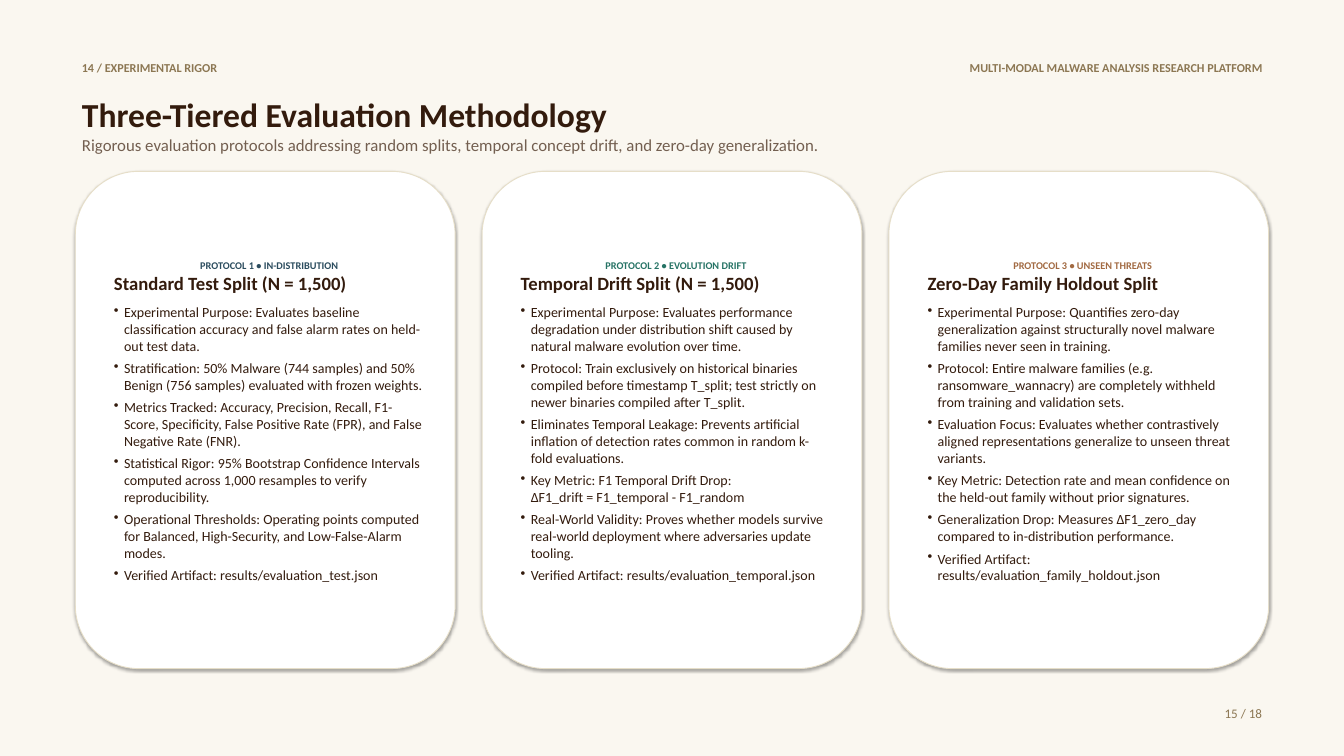
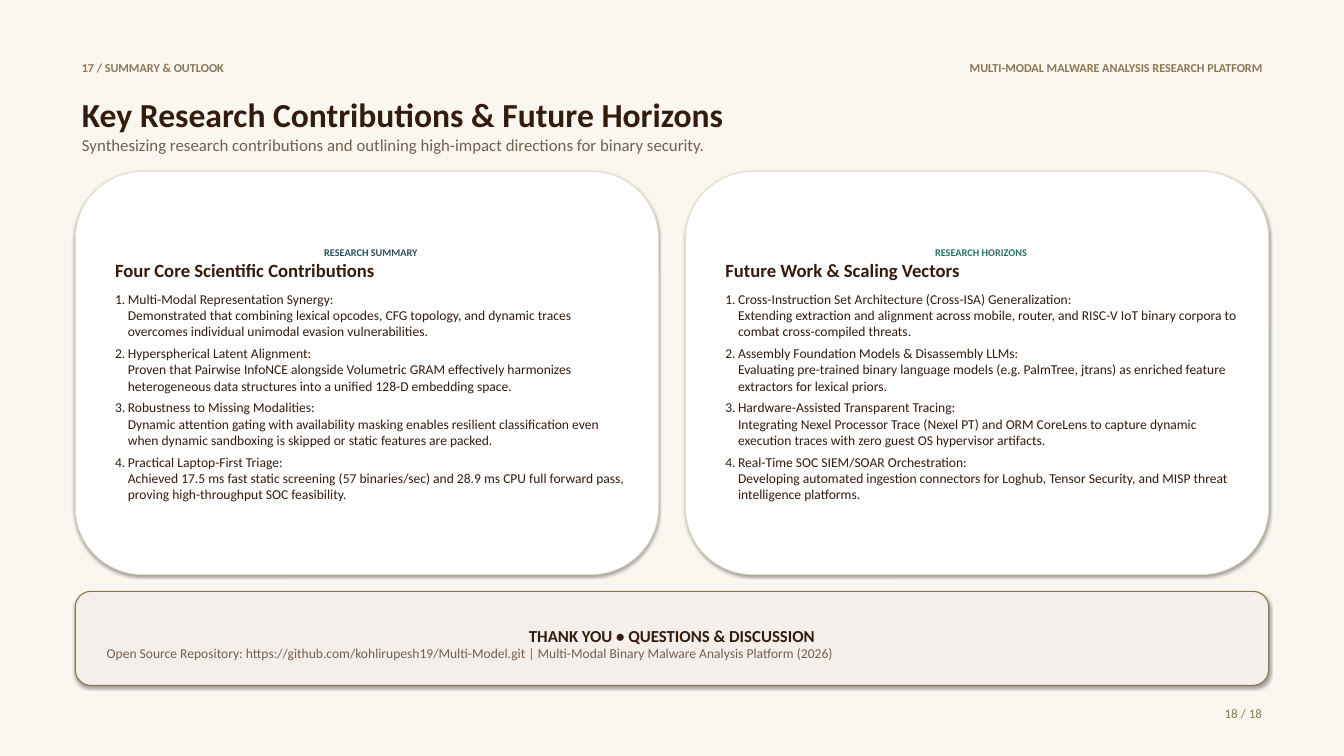
"""Builds the evaluation methodology and research outlook slides."""
import pptx
import pptx.util
import pptx.dml.color
import pptx.enum.shapes
import pptx.enum.text
from pptx.oxml.ns import qn
from lxml import etree

Inches, Pt = pptx.util.Inches, pptx.util.Pt
ALIGN, ANCHOR = pptx.enum.text.PP_ALIGN, pptx.enum.text.MSO_ANCHOR

CREAM, WHITE, BLUSH, SAND = "FAF7F0", "FFFFFF", "F5EFEB", "E6DEC8"
BROWN, TAUPE, GOLD = "331B0D", "735F50", "8C7753"
NAVY, TEAL, COPPER = "2B4C5E", "267365", "A26A42"
MARGIN, WIDTH, GAP, CARD_TOP = 1.12, 17.76, 0.4, 2.55

PLATFORM = "MULTI-MODAL MALWARE ANALYSIS RESEARCH PLATFORM"
BULLET = dict(tag="a:buChar", attrs={"char": "•"}, hang=0.15, size=15)
NUMBER = dict(tag="a:buAutoNum", attrs={"type": "arabicPeriod"}, hang=0.19, size=14.5)

SLIDES = [
    dict(
        section="14 / EXPERIMENTAL RIGOR",
        title="Three-Tiered Evaluation Methodology",
        subtitle="Rigorous evaluation protocols addressing random splits, temporal concept "
                 "drift, and zero-day generalization.",
        page="15 / 18", card_height=7.4, marker=BULLET,
        cards=[
            ("PROTOCOL 1 • IN-DISTRIBUTION", NAVY, "Standard Test Split (N = 1,500)", [
                "Experimental Purpose: Evaluates baseline classification accuracy and false "
                "alarm rates on held-out test data.",
                "Stratification: 50% Malware (744 samples) and 50% Benign (756 samples) "
                "evaluated with frozen weights.",
                "Metrics Tracked: Accuracy, Precision, Recall, F1-Score, Specificity, False "
                "Positive Rate (FPR), and False Negative Rate (FNR).",
                "Statistical Rigor: 95% Bootstrap Confidence Intervals computed across 1,000 "
                "resamples to verify reproducibility.",
                "Operational Thresholds: Operating points computed for Balanced, "
                "High-Security, and Low-False-Alarm modes.",
                "Verified Artifact: results/evaluation_test.json",
            ]),
            ("PROTOCOL 2 • EVOLUTION DRIFT", TEAL, "Temporal Drift Split (N = 1,500)", [
                "Experimental Purpose: Evaluates performance degradation under distribution "
                "shift caused by natural malware evolution over time.",
                "Protocol: Train exclusively on historical binaries compiled before timestamp "
                "T_split; test strictly on newer binaries compiled after T_split.",
                "Eliminates Temporal Leakage: Prevents artificial inflation of detection "
                "rates common in random k-fold evaluations.",
                "Key Metric: F1 Temporal Drift Drop:\vΔF1_drift = F1_temporal - F1_random",
                "Real-World Validity: Proves whether models survive real-world deployment "
                "where adversaries update tooling.",
                "Verified Artifact: results/evaluation_temporal.json",
            ]),
            ("PROTOCOL 3 • UNSEEN THREATS", COPPER, "Zero-Day Family Holdout Split", [
                "Experimental Purpose: Quantifies zero-day generalization against "
                "structurally novel malware families never seen in training.",
                "Protocol: Entire malware families (e.g. ransomware_wannacry) are completely "
                "withheld from training and validation sets.",
                "Evaluation Focus: Evaluates whether contrastively aligned representations "
                "generalize to unseen threat variants.",
                "Key Metric: Detection rate and mean confidence on the held-out family "
                "without prior signatures.",
                "Generalization Drop: Measures ΔF1_zero_day compared to in-distribution "
                "performance.",
                "Verified Artifact: results/evaluation_family_holdout.json",
            ]),
        ],
    ),
    dict(
        section="17 / SUMMARY & OUTLOOK",
        title="Key Research Contributions & Future Horizons",
        subtitle="Synthesizing research contributions and outlining high-impact directions "
                 "for binary security.",
        page="18 / 18", card_height=6, marker=NUMBER,
        cards=[
            ("RESEARCH SUMMARY", NAVY, "Four Core Scientific Contributions", [
                "Multi-Modal Representation Synergy:\vDemonstrated that combining lexical "
                "opcodes, CFG topology, and dynamic traces overcomes individual unimodal "
                "evasion vulnerabilities.",
                "Hyperspherical Latent Alignment:\vProven that Pairwise InfoNCE alongside "
                "Volumetric GRAM effectively harmonizes heterogeneous data structures into a "
                "unified 128-D embedding space.",
                "Robustness to Missing Modalities:\vDynamic attention gating with "
                "availability masking enables resilient classification even when dynamic "
                "sandboxing is skipped or static features are packed.",
                "Practical Laptop-First Triage:\vAchieved 17.5 ms fast static screening "
                "(57 binaries/sec) and 28.9 ms CPU full forward pass, proving "
                "high-throughput SOC feasibility.",
            ]),
            ("RESEARCH HORIZONS", TEAL, "Future Work & Scaling Vectors", [
                "Cross-Instruction Set Architecture (Cross-ISA) Generalization:\vExtending "
                "extraction and alignment across mobile, router, and RISC-V IoT binary corpora "
                "to combat cross-compiled threats.",
                "Assembly Foundation Models & Disassembly LLMs:\vEvaluating pre-trained "
                "binary language models (e.g. PalmTree, jtrans) as enriched feature "
                "extractors for lexical priors.",
                "Hardware-Assisted Transparent Tracing:\vIntegrating Nexel Processor Trace "
                "(Nexel PT) and ORM CoreLens to capture dynamic execution traces with zero "
                "guest OS hypervisor artifacts.",
                "Real-Time SOC SIEM/SOAR Orchestration:\vDeveloping automated ingestion "
                "connectors for Loghub, Tensor Security, and MISP threat intelligence "
                "platforms.",
            ]),
        ],
        closing=("THANK YOU • QUESTIONS & DISCUSSION",
                 "Open Source Repository: https://github.com/kohlirupesh19/Multi-Model.git | "
                 "Multi-Modal Binary Malware Analysis Platform (2026)"),
    ),
]


def rgb(value):
    """Return the colour for a hex string."""
    return pptx.dml.color.RGBColor.from_string(value)


def set_frame(tf, **formats):
    """Wrap the frame and apply its format values."""
    tf.word_wrap = True
    for name, value in formats.items():
        setattr(tf, name, value)


def add_text(tf, text, size, color, bold=False, align=ALIGN.LEFT, after=0, marker=None):
    """Write text into the empty first paragraph or a new one."""
    p = tf.paragraphs[0] if not tf.text else tf.add_paragraph()
    p.text = text
    p.alignment = align
    p.space_after = Pt(after)
    if marker:
        pPr = p._p.get_or_add_pPr()
        pPr.set("marL", str(Inches(marker["hang"])))
        pPr.set("indent", str(-Inches(marker["hang"])))
        etree.SubElement(pPr, qn(marker["tag"]), marker["attrs"])
    for r in p.runs:
        for name, value in dict(name="Calibri", size=Pt(size), bold=bold).items():
            setattr(r.font, name, value)
        r.font.color.rgb = rgb(color)


def add_label(s, box, text, size, bold=False, align=ALIGN.LEFT):
    """Add a one-line gold text box."""
    tf = s.shapes.add_textbox(*map(Inches, box)).text_frame
    set_frame(tf)
    add_text(tf, text, size, GOLD, bold, align)


def add_panel(s, box, fill, line, line_width, insets):
    """Add a rounded panel with the theme shadow and return its text frame."""
    sp = s.shapes.add_shape(pptx.enum.shapes.MSO_SHAPE.ROUNDED_RECTANGLE, *map(Inches, box))
    sp.fill.solid()
    sp.fill.fore_color.rgb = rgb(fill)
    sp.line.color.rgb = rgb(line)
    sp.line.width = Pt(line_width)
    sides = ("margin_left", "margin_top", "margin_right", "margin_bottom")
    set_frame(sp.text_frame, vertical_anchor=ANCHOR.MIDDLE,
              **dict(zip(sides, map(Inches, insets))))
    return sp.text_frame


def add_cards(s, cards, height, marker):
    """Share the content width equally among the cards."""
    width = (WIDTH - GAP * (len(cards) - 1)) / len(cards)
    for i, (label, accent, heading, items) in enumerate(cards):
        box = (MARGIN + i * (width + GAP), CARD_TOP, width, height)
        tf = add_panel(s, box, WHITE, SAND, 1, (0.3, 0.25, 0.18, 0.2))
        add_text(tf, label, 11, accent, True, ALIGN.CENTER)
        add_text(tf, heading, 20, BROWN, True, after=10)
        for item in items:
            add_text(tf, item, marker["size"], BROWN, after=6, marker=marker)


def add_title(s, title, subtitle):
    """Place and fill the title placeholder."""
    sp = s.shapes.title
    sp.left, sp.top, sp.width, sp.height = map(Inches, (MARGIN, 1.35, WIDTH, 1.1))
    set_frame(sp.text_frame, vertical_anchor=ANCHOR.TOP,
              auto_size=pptx.enum.text.MSO_AUTO_SIZE.NONE)
    add_text(sp.text_frame, title, 36, BROWN, True)
    add_text(sp.text_frame, subtitle, 18, TAUPE)


def add_slide(prs, content):
    """Build one slide from its content."""
    s = prs.slides.add_slide(prs.slide_layouts[5])
    add_label(s, (MARGIN, 0.85, 8.5, 0.35), content["section"], 13, True)
    add_label(s, (10, 0.85, 8.88, 0.35), PLATFORM, 13, True, ALIGN.RIGHT)
    add_title(s, content["title"], content["subtitle"])
    add_cards(s, content["cards"], content["card_height"], content["marker"])
    if "closing" in content:
        thanks, repository = content["closing"]
        tf = add_panel(s, (MARGIN, 8.8, WIDTH, 1.4), BLUSH, GOLD, 1.2, (0.4, 0.2, 0.4, 0.05))
        add_text(tf, thanks, 18, BROWN, True, ALIGN.CENTER)
        add_text(tf, repository, 14.5, TAUPE)
    add_label(s, (13.88, 10.45, 5, 0.35), content["page"], 14, align=ALIGN.RIGHT)


def main():
    """Build and save the presentation."""
    prs = pptx.Presentation()
    prs.slide_width, prs.slide_height = Inches(20), Inches(11.25)
    background = prs.slide_master.background.fill
    background.solid()
    background.fore_color.rgb = rgb(CREAM)
    for content in SLIDES:
        add_slide(prs, content)
    prs.save("out.pptx")


if __name__ == "__main__":
    main()
